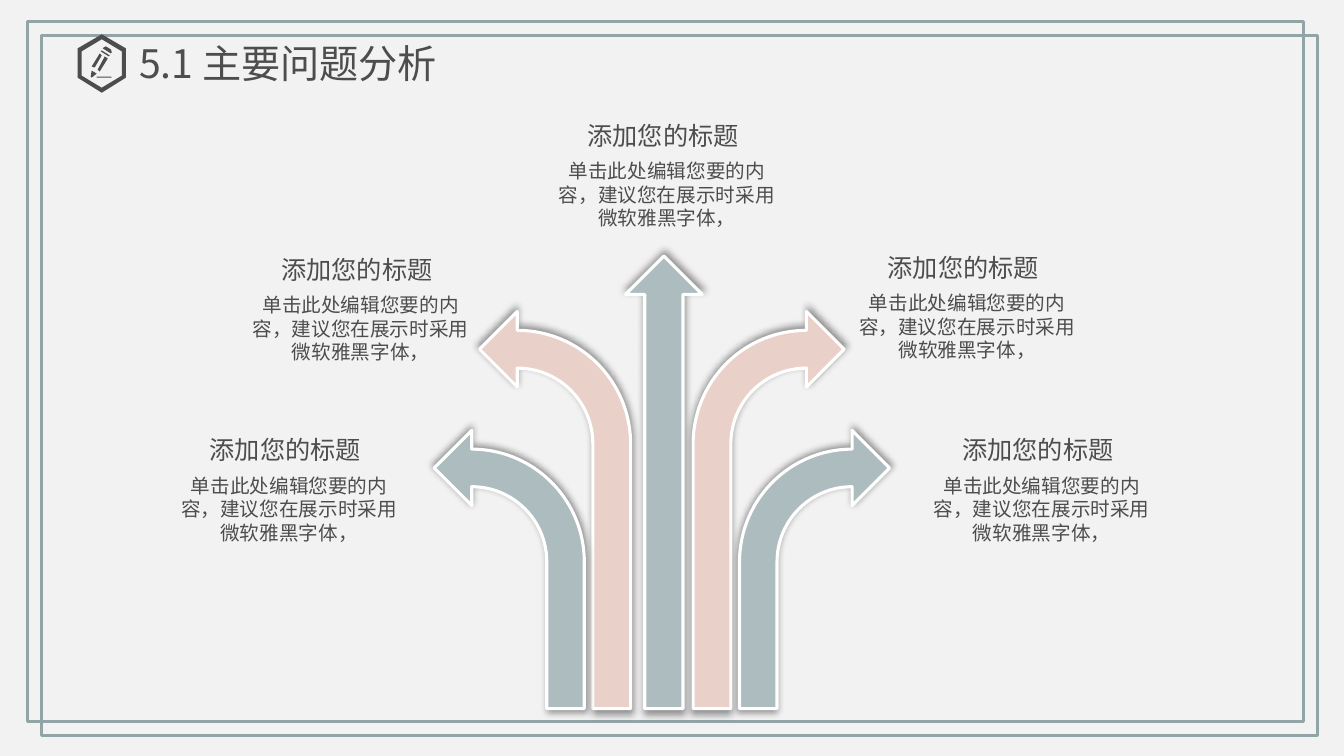
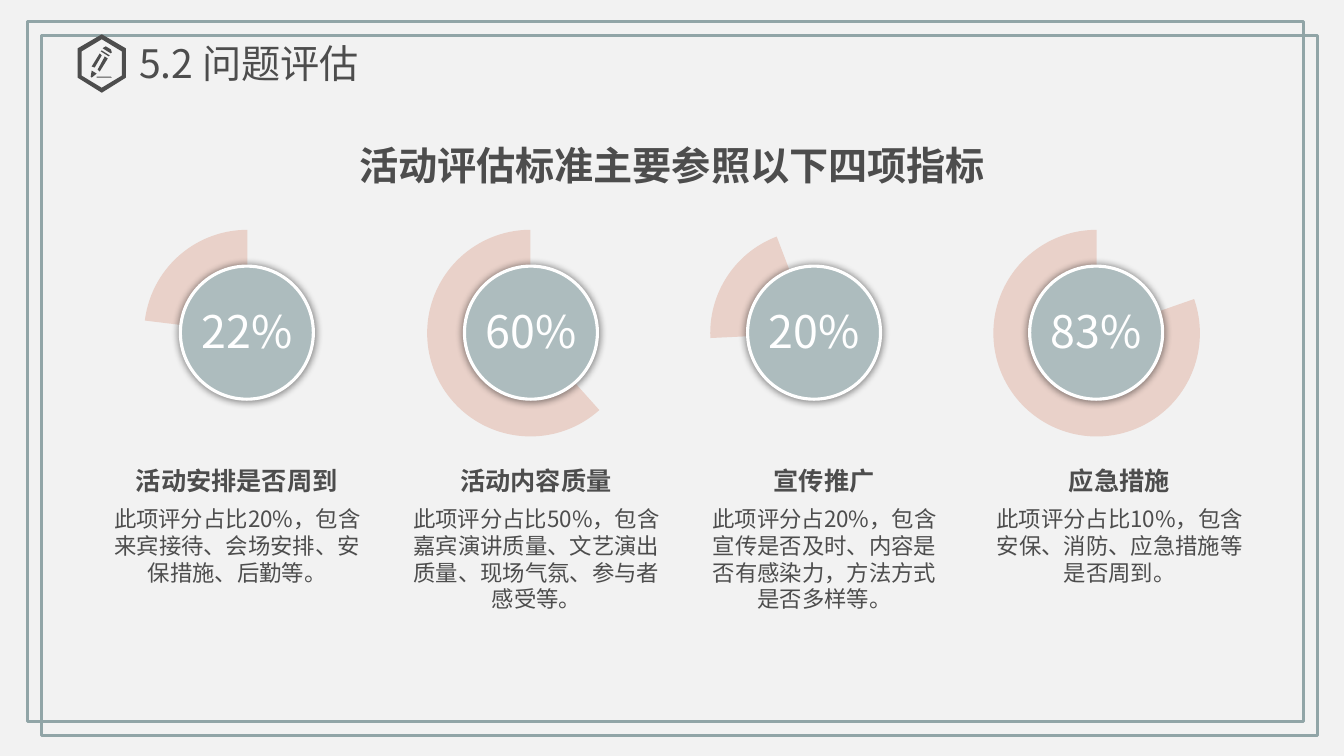
from lxml import etree
from pptx import Presentation
from pptx.dml.color import RGBColor
from pptx.enum.shapes import MSO_SHAPE as SHAPE
from pptx.enum.text import MSO_ANCHOR as ANCHOR, MSO_AUTO_SIZE as AUTO, PP_ALIGN as ALIGN
from pptx.oxml import parse_xml
from pptx.oxml.ns import nsdecls, qn
from pptx.util import Inches, Pt

FONT = "Noto Sans CJK SC"
COLORS = {"back": "F2F2F2", "frame": "91A5A7", "text": "4D4D4D",
          "teal": "ADBCBE", "pink": "E9D1C9", "white": "FFFFFF"}

FRAMES = [(0.27, 0.21), (0.41, 0.35)]
FRAME_SIZE = (12.67, 6.95)

# Pencil in a hexagon, in hundredths of an inch
ICON = [
    [(101, 34), (125, 48), (125, 77), (101, 92), (77, 77), (77, 48)],
    [(101, 39), (121, 51), (121, 75), (101, 87), (81, 75), (81, 51)],
    [(96, 76), (110, 76), (111, 77), (96, 77)],
    [(97, 69), (104, 56), (107, 58), (99, 71)],
    [(91, 66), (99, 53), (101, 55), (94, 67)],
    [(90, 76), (91, 70), (96, 73), (91, 77)],
    [(101, 50), (100, 51), (108, 56), (109, 55)],
    [(103, 47), (105, 46), (110, 49), (111, 52), (110, 53), (102, 48)],
]

ITEM_HEAD = "添加您的标题"
ITEM_BODY = "单击此处编辑您要的内容，建议您在展示时采用微软雅黑字体，"
ITEMS = [(1.69, 4.26), (2.4, 2.47), (5.44, 1.14), (8.42, 2.45), (9.16, 4.26)]

ARROW_BASE = 7.03
ARROW_AXIS = 6.57
# distance from the axis to the near edge, top, width, colour
ARROW_PAIRS = [(0.31, 3.09, 1.5, "pink"), (0.77, 4.27, 1.49, "teal")]
MIDDLE_ARROW = (6.21, 2.54, 0.76)

INDICATOR_TITLE = "活动评估标准主要参照以下四项指标"
# value, pie angles, text centre, body width, heading, body
INDICATORS = [
    ("22%", (187, 270), 2.35, 2.81, "活动安排是否周到",
     "此项评分占比20%，包含来宾接待、会场安排、安保措施、后勤等。"),
    ("60%", (48.14, 270), 5.32, 2.81, "活动内容质量",
     "此项评分占比50%，包含嘉宾演讲质量、文艺演出质量、现场气氛、参与者感受等。"),
    ("20%", (177.26, 249.1), 8.18, 2.63, "宣传推广",
     "此项评分占20%，包含宣传是否及时、内容是否有感染力，方法方式是否多样等。"),
    ("83%", (340.73, 270), 11.11, 2.81, "应急措施",
     "此项评分占比10%，包含安保、消防、应急措施等是否周到。"),
]
PIE_LEFT, PIE_TOP, PIE_SIZE, PIE_STEP = 1.43, 2.28, 2.05, 2.81
DISC_SIZE = 1.32


def rgb(name):
    return RGBColor.from_string(COLORS[name])


def box(x, y, w, h):
    return [Inches(round(v, 2)) for v in (x, y, w, h)]


def write(sp, text, size, color="text", bold=False, align=ALIGN.CENTER, **frame):
    tf = sp.text_frame
    for name, value in frame.items():
        setattr(tf, name, value)
    p = tf.paragraphs[0]
    p.alignment = align
    p._p.get_or_add_pPr().set("hangingPunct", "0")
    r = p.add_run()
    r.text = text
    for name, value in {"name": FONT, "size": Pt(size), "bold": bold}.items():
        setattr(r.font, name, value)
    r.font.color.rgb = rgb(color)
    etree.SubElement(r._r.get_or_add_rPr(), qn("a:ea"), typeface=FONT)


def add_text(slide, at, text, size, wrap=True, **style):
    sp = slide.shapes.add_textbox(*box(*at))
    write(sp, text, size, word_wrap=wrap, auto_size=AUTO.SHAPE_TO_FIT_TEXT, **style)


def paint(sp, fill=None, line=None, width=2.25):
    sp.shadow.inherit = False
    if fill:
        sp.fill.solid()
        sp.fill.fore_color.rgb = rgb(fill)
    else:
        sp.fill.background()
    if line:
        sp.line.color.rgb = rgb(line)
        sp.line.width = Pt(width)
    else:
        sp.line.fill.background()


def add_raised(slide, kind, at, fill):
    """Add a white-edged shape with a soft, slightly enlarged shadow."""
    sp = slide.shapes.add_shape(kind, *box(*at))
    paint(sp, fill, "white")
    sp.element.spPr.find(qn("a:effectLst")).append(parse_xml(
        f'<a:outerShdw {nsdecls("a")} blurRad="{Pt(5)}" dist="0" sx="102000" sy="102000" '
        'algn="ctr" rotWithShape="0">'
        '<a:srgbClr val="000000"><a:alpha val="40000"/></a:srgbClr></a:outerShdw>'))
    return sp


def set_up_master(prs, slide):
    """Give the master its background and the two frames, drawn first on a slide."""
    master = prs.slide_master
    master.background.fill.solid()
    master.background.fill.fore_color.rgb = rgb("back")
    for corner in FRAMES:
        sp = slide.shapes.add_shape(SHAPE.RECTANGLE, *box(*corner, *FRAME_SIZE))
        paint(sp, line="frame", width=2)
        master.shapes.element.append(sp.element)


def add_header(slide, title):
    add_text(slide, (1.38, 0.39, 3.99, 0.47), title, 28, align=ALIGN.LEFT,
             margin_left=0, margin_top=0, margin_right=0, margin_bottom=0)
    builder = slide.shapes.build_freeform(*ICON[0][0], scale=Inches(0.01))
    for i, outline in enumerate(ICON):
        if i:
            builder.move_to(*outline[0])
        builder.add_line_segments(outline[1:], close=True)
    paint(builder.convert_to_shape(), "text")


def build_problems(slide):
    add_header(slide, "5.1 主要问题分析")
    for gap, top, width, color in ARROW_PAIRS:
        for flipped in (False, True):
            left = ARROW_AXIS - gap - width if flipped else ARROW_AXIS + gap
            sp = add_raised(slide, SHAPE.BENT_ARROW,
                            (left, top, width, ARROW_BASE - top), color)
            sp.adjustments[3] = 0.75
            if flipped:
                sp.element.spPr.xfrm.set("flipH", "1")
    left, top, width = MIDDLE_ARROW
    add_raised(slide, SHAPE.UP_ARROW, (left, top, width, ARROW_BASE - top), "teal")
    for x, y in ITEMS:
        add_text(slide, (x + 0.27, y, 1.72, 0.4), ITEM_HEAD, 18, wrap=False, align=ALIGN.RIGHT)
        add_text(slide, (x, y + 0.39, 2.36, 0.81), ITEM_BODY, 14)


def build_indicators(slide):
    add_header(slide, "5.2 问题评估")
    add_text(slide, (2.86, 1.35, 7.62, 0.57), INDICATOR_TITLE, 28, bold=True)
    inset = (PIE_SIZE - DISC_SIZE) / 2
    for i, (value, angles, centre, width, head, body) in enumerate(INDICATORS):
        left = PIE_LEFT + i * PIE_STEP
        pie = slide.shapes.add_shape(SHAPE.PIE, *box(left, PIE_TOP, PIE_SIZE, PIE_SIZE))
        paint(pie, "pink")
        for k, angle in enumerate(angles):
            pie.adjustments[k] = angle * 0.6  # 60000ths of a degree over 100000
        disc = add_raised(slide, SHAPE.OVAL,
                          (left + inset, PIE_TOP + inset, DISC_SIZE, DISC_SIZE), "teal")
        write(disc, value, 32, "white", word_wrap=False, vertical_anchor=ANCHOR.MIDDLE,
              margin_top=0, margin_bottom=Inches(0.04))
        add_text(slide, (centre - 1.2, 4.57, 2.4, 0.4), head, 18, bold=True)
        add_text(slide, (centre - width / 2, 4.96, width, 1.18), body, 16)


def main():
    prs = Presentation()
    prs.slide_width, prs.slide_height = Inches(13.34), Inches(7.5)
    blank = prs.slide_layouts[6]
    problems, indicators = [prs.slides.add_slide(blank) for _ in range(2)]
    set_up_master(prs, problems)
    build_problems(problems)
    build_indicators(indicators)
    prs.save("out.pptx")


if __name__ == "__main__":
    main()
